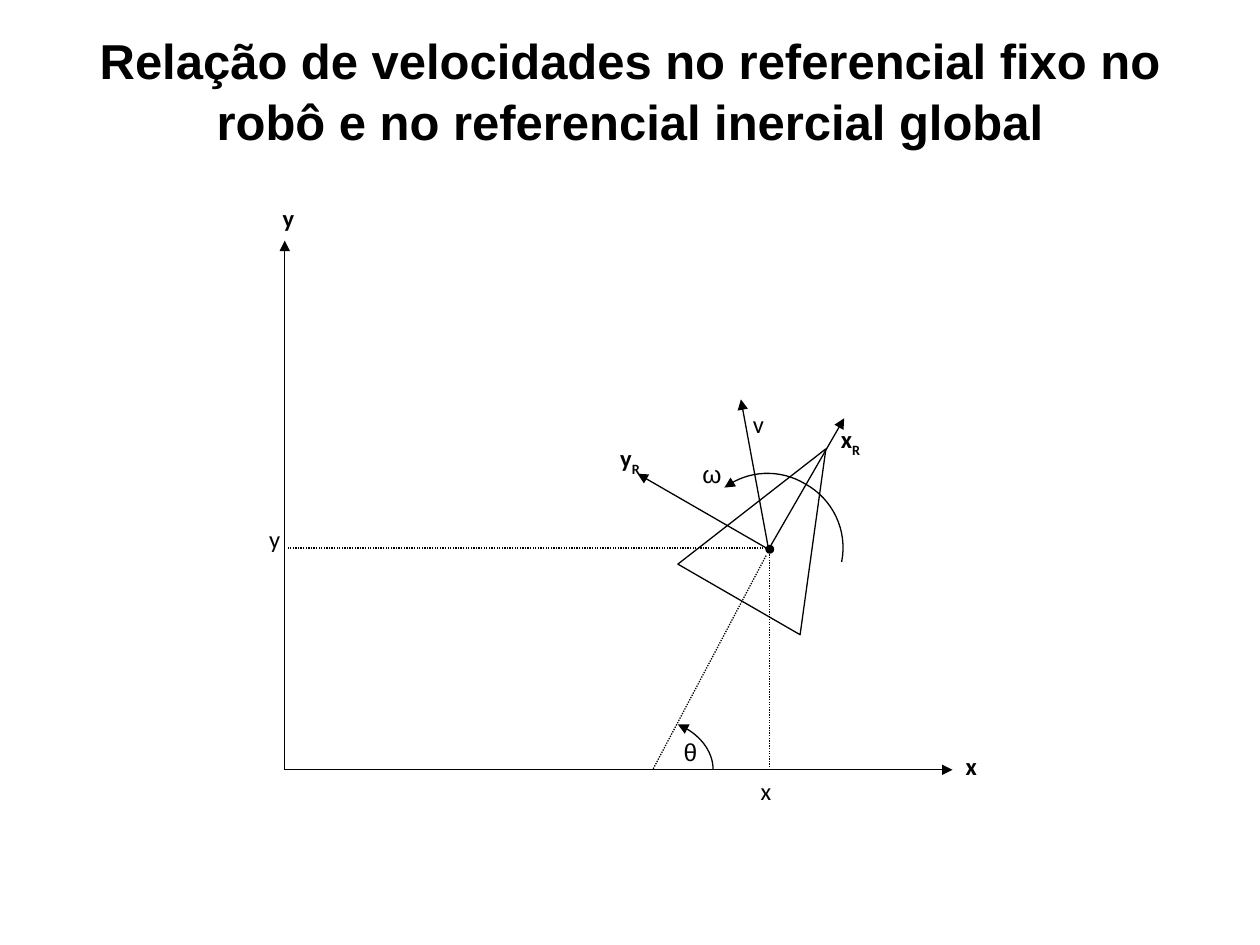
from pptx import Presentation, util as u
from pptx.dml.color import RGBColor
from pptx.enum import dml, shapes, text
from pptx.oxml.ns import qn
from lxml import etree

INK = {"black": "000000", "white": "FFFFFF"}


def curve(start, *parts, steps=16):
    """Points along joined cubic Bezier parts, each (control, control, end)."""
    pts = [start]
    for a, b, end in parts:
        p = pts[-1]
        for i in range(1, steps + 1):
            t = i / steps
            s = 1 - t
            pts.append(tuple(
                s**3 * p[k] + 3 * s * s * t * a[k] + 3 * s * t * t * b[k] + t**3 * end[k]
                for k in (0, 1)))
    return pts


class Sketch:
    def __init__(self, slide, width=0.75):
        self.slide = slide
        self.width = u.Pt(width)

    def color(self, name):
        return RGBColor.from_string(INK[name])

    def stroke(self, shape, tip=False, dash=None):
        line = shape.line
        line.color.rgb = self.color("black")
        line.width = self.width
        if dash:
            line.dash_style = dash
        if tip:
            ln = line._get_or_add_ln()
            etree.SubElement(ln, qn("a:tailEnd"), type="triangle")

    def line(self, start, end, **style):
        pts = [u.Inches(v) for v in (*start, *end)]
        link = self.slide.shapes.add_connector(shapes.MSO_CONNECTOR.STRAIGHT, *pts)
        self.stroke(link, **style)
        etree.SubElement(link._element.spPr, qn("a:effectLst"))

    def shape(self, kind, box, fill, turn=0):
        item = self.slide.shapes.add_shape(kind, *map(u.Inches, box))
        item.shadow.inherit = False
        item.rotation = turn
        item.fill.solid()
        item.fill.fore_color.rgb = self.color(fill)
        self.stroke(item)

    def arc(self, pts):
        pts = [(u.Inches(x), u.Inches(y)) for x, y in pts]
        pen = self.slide.shapes.build_freeform(*pts[0])
        pen.add_line_segments(pts[1:], close=False)
        item = pen.convert_to_shape()
        item.shadow.inherit = False
        item.fill.background()
        self.stroke(item, tip=True)

    def label(self, words, box, sub="", anchor=text.MSO_ANCHOR.TOP, para=None, **font):
        """Centred text; sub is set as a subscript after it."""
        frame = self.slide.shapes.add_textbox(*map(u.Inches, box)).text_frame
        frame.word_wrap = True
        frame.vertical_anchor = anchor
        par = frame.paragraphs[0]
        style = {"alignment": text.PP_ALIGN.CENTER, **(para or {})}
        for key, val in style.items():
            setattr(par, key, val)
        look = {"name": "Calibri", "size": u.Pt(14), "bold": False, **font}
        for part in filter(None, (words, sub)):
            run = par.add_run()
            run.text = part
            for key, val in look.items():
                setattr(run.font, key, val)
            run.font.color.rgb = self.color("black")
        if sub:
            run.font._element.set("baseline", "-25000")


def main():
    deck = Presentation()
    deck.slide_width, deck.slide_height = u.Inches(10), u.Inches(7.5)
    art = Sketch(deck.slides.add_slide(deck.slide_layouts[6]))
    kind = shapes.MSO_SHAPE

    art.label("Relação de velocidades no referencial fixo no robô e no referencial inercial global",
              (0.5, 0.08, 9, 1.25), anchor=text.MSO_ANCHOR.MIDDLE,
              para={"line_spacing": 1.05}, name="Arial", size=u.Pt(28), bold=True)

    # Robot body, its axes and its velocities
    robot, origin = (6.1, 4.36), (2.26, 6.11)
    art.shape(kind.ISOSCELES_TRIANGLE, (5.65, 3.47, 1.12, 1.38), "white", 30)
    for end in ((6.7, 3.32), (5.06, 3.76), (5.88, 3.17)):
        art.line(robot, end, tip=True)
    art.shape(kind.OVAL, (6.08, 4.33, 0.06, 0.06), "black")
    art.arc(curve((6.68, 4.46), ((6.73, 4.21), (6.61, 3.96), (6.39, 3.84)),
                  ((6.19, 3.72), (5.94, 3.73), (5.75, 3.87))))

    # Global axes
    for end in ((2.26, 1.91), (7.56, 6.11)):
        art.line(origin, end, tip=True)

    # Guides to the robot position and heading
    for start, end in (((6.08, 4.35), (2.28, 4.35)), ((6.11, 4.36), (6.11, 6.12)),
                       ((6.08, 4.41), (5.18, 6.11))):
        art.line(start, end, dash=dml.MSO_LINE.ROUND_DOT)
    art.arc(curve((5.66, 6.11), ((5.66, 5.96), (5.55, 5.82), (5.38, 5.75))))

    after = {"space_after": u.Pt(10)}
    for words, sub, box, font in (
        ("v", "", (5.77, 3.2, 0.5, 0.5), {}),
        ("ω", "", (5.4, 3.59, 0.5, 0.5), {"name": "Arial"}),
        ("x", "", (7.46, 5.91, 0.5, 0.4), {"bold": True}),
        ("y", "", (2.04, 1.56, 0.5, 0.3), {"bold": True}),
        ("θ", "", (5.18, 5.8, 0.6, 0.5), {"name": "Arial"}),
        ("x", "", (5.78, 6.11, 0.6, 0.5), {}),
        ("y", "", (1.88, 4.11, 0.6, 0.5), {}),
        ("x", "R", (6.5, 3.32, 0.5, 0.4), {"bold": True}),
        ("y", "R", (4.75, 3.47, 0.5, 0.4), {"bold": True}),
    ):
        art.label(words, box, sub, para=after, **font)

    deck.save("out.pptx")


if __name__ == "__main__":
    main()
